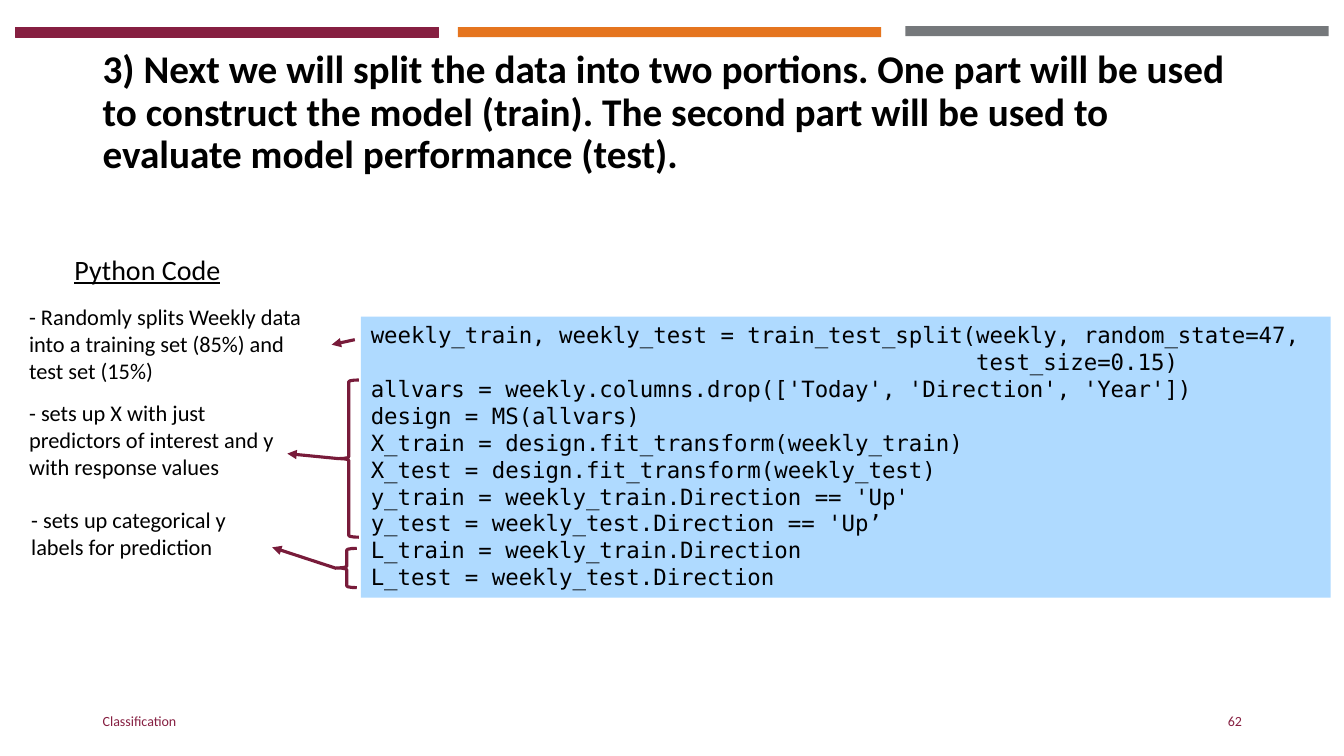
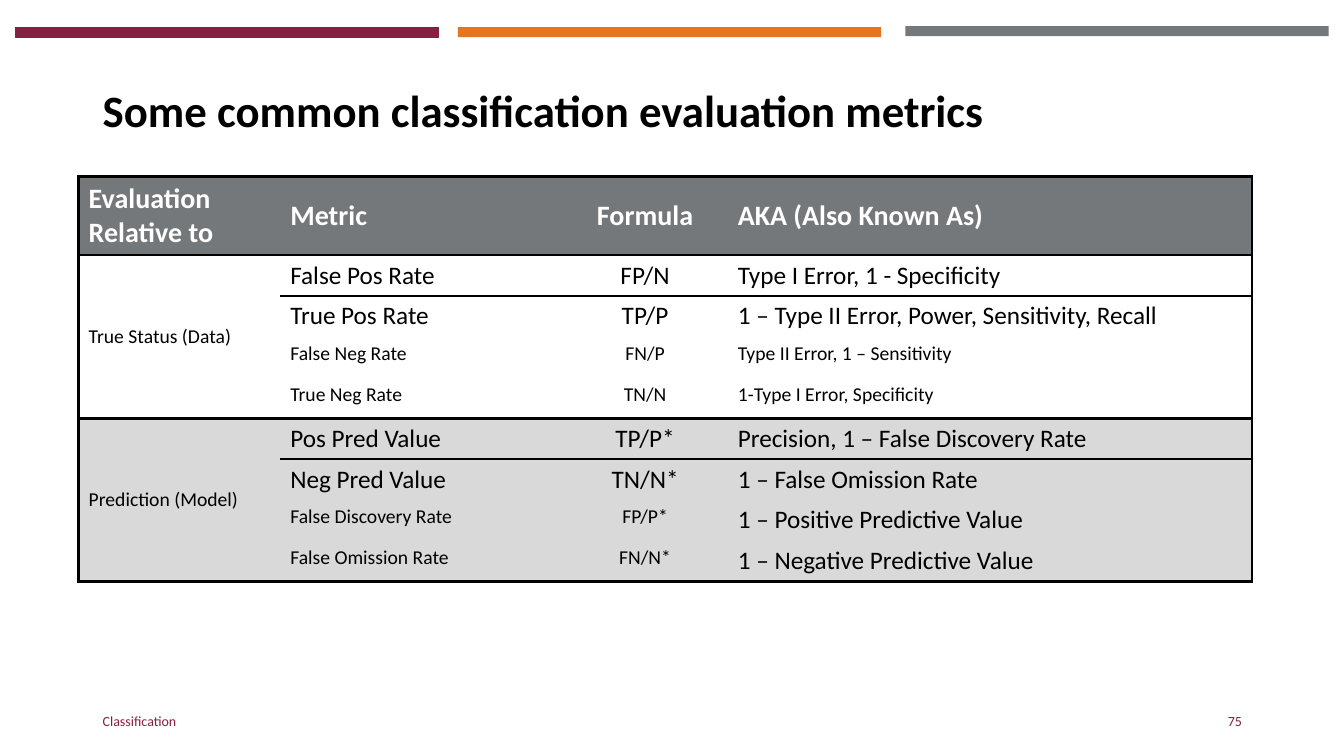
from lxml.etree import SubElement
from pptx import Presentation
from pptx.dml.color import RGBColor
from pptx.enum.shapes import MSO_CONNECTOR, MSO_SHAPE
from pptx.enum.text import MSO_ANCHOR, PP_ALIGN
from pptx.oxml.ns import qn
from pptx.util import Inches, Pt

COLORS = {
    "maroon": "861F41",
    "orange": "E5751F",
    "gray": "75787B",
    "marker": "781B3A",
    "code": "AFDAFF",
    "band": "D9D9D9",
    "black": "000000",
    "white": "FFFFFF",
}
RGB = {name: RGBColor.from_string(value) for name, value in COLORS.items()}
BODY, MONO = "Calibri", "DejaVu Sans Mono"

deck = Presentation()
deck.slide_width, deck.slide_height = Inches(13.33), Inches(7.5)
X, Y = deck.slide_width / 100, deck.slide_height / 100


def area(left, top, width, height):
    return round(left * X), round(top * Y), round(width * X), round(height * Y)


def write(frame, lines, size, color="black", font=BODY, bold=False, underline=False,
          align=PP_ALIGN.LEFT, anchor=MSO_ANCHOR.TOP, spacing=None):
    frame.word_wrap = True
    frame.vertical_anchor = anchor
    for number, line in enumerate(lines):
        paragraph = frame.add_paragraph() if number else frame.paragraphs[0]
        paragraph.alignment = align
        if spacing:
            paragraph.line_spacing = spacing
        run = paragraph.add_run()
        run.text = line
        run.font.size, run.font.name = Pt(size), font
        run.font.bold, run.font.underline = bold, underline
        run.font.color.rgb = RGB[color]


BARS = [(1.13, 3.6, "maroon"), (34.06, 3.6, "orange"), (67.36, 3.47, "gray")]
PAGES = [
    ("3) Next we will split the data into two portions. One part will be used to construct "
     "the model (train). The second part will be used to evaluate model performance (test).",
     28, "62"),
    ("Some common classification evaluation metrics", 32, "75"),
]
slides = []
for title, title_size, page_number in PAGES:
    slide = deck.slides.add_slide(deck.slide_layouts[6])
    slides.append(slide)
    for left, top, color in BARS:
        bar = slide.shapes.add_shape(MSO_SHAPE.RECTANGLE, *area(left, top, 31.5, 1.33))
        bar.shadow.inherit = False
        bar.fill.solid()
        bar.fill.fore_color.rgb = RGB[color]
        if color == "maroon":
            bar.line.color.rgb = RGB[color]
            bar.line.width = Pt(0.75)
        else:
            bar.line.fill.background()
    heading = slide.shapes.add_textbox(*area(6.9, 5.33, 86.25, 19.33))
    write(heading.text_frame, [title], title_size, bold=True,
          anchor=MSO_ANCHOR.MIDDLE, spacing=0.9)
    for text, left, width, align in [("Classification", 6.9, 33.75, PP_ALIGN.LEFT),
                                     (page_number, 70.65, 22.5, PP_ALIGN.RIGHT)]:
        footer = slide.shapes.add_textbox(*area(left, 92.67, width, 5.33))
        write(footer.text_frame, [text], 10, "maroon", align=align, anchor=MSO_ANCHOR.MIDDLE)

split_slide, metrics_slide = slides

code_label = split_slide.shapes.add_textbox(*area(4.8, 30.4, 16.65, 8.13))
write(code_label.text_frame, ["Python Code"], 20, underline=True,
      anchor=MSO_ANCHOR.MIDDLE, spacing=1.5)

CODE = """weekly_train, weekly_test = train_test_split(weekly, random_state=47,
                                             test_size=0.15)
allvars = weekly.columns.drop(['Today', 'Direction', 'Year'])
design = MS(allvars)
X_train = design.fit_transform(weekly_train)
X_test = design.fit_transform(weekly_test)
y_train = weekly_train.Direction == 'Up'
y_test = weekly_test.Direction == 'Up’
L_train = weekly_train.Direction
L_test = weekly_test.Direction"""
code_panel = split_slide.shapes.add_shape(MSO_SHAPE.RECTANGLE, *area(26.85, 41.87, 72.15, 37.2))
code_panel.shadow.inherit = False
code_panel.fill.solid()
code_panel.fill.fore_color.rgb = RGB["code"]
code_panel.line.fill.background()
write(code_panel.text_frame, CODE.split("\n"), 16, font=MONO)

NOTES = [
    ("- Randomly splits Weekly data into a training set (85%) and test set (15%)",
     (1.43, 39.47, 23.25, 12.13)),
    ("- sets up X with just predictors of interest and y with response values",
     (1.43, 52.13, 19.95, 15.73)),
    ("- sets up categorical y labels for prediction", (1.58, 66.27, 18.68, 12.13)),
]
for note, place in NOTES:
    note_box = split_slide.shapes.add_textbox(*area(*place))
    write(note_box.text_frame, [note], 16)

for place in [(25.2, 50.27, 1.5, 20.8), (25.05, 72.53, 1.5, 5.2)]:
    brace = split_slide.shapes.add_shape(MSO_SHAPE.LEFT_BRACE, *area(*place))
    brace.shadow.inherit = False
    brace.fill.background()
    brace.line.color.rgb = RGB["marker"]
    brace.line.width = Pt(2.25)

for ends in [(26.4, 44.93, 24.68, 45.6), (25.2, 60.67, 21.38, 60), (25.05, 75.2, 20.25, 72.4)]:
    arrow = split_slide.shapes.add_connector(MSO_CONNECTOR.STRAIGHT, *area(*ends))
    arrow.line.color.rgb = RGB["marker"]
    arrow.line.width = Pt(2.25)
    SubElement(arrow.line._get_or_add_ln(), qn("a:tailEnd"), type="triangle")
    SubElement(arrow._element.spPr, qn("a:effectLst"))

HEADER = ["Evaluation Relative to", "Metric", "Formula", "AKA (Also Known As)"]
METRICS = [
    ("True Status (Data)", "False Pos Rate", "FP/N", "Type I Error, 1 - Specificity"),
    ("", "True Pos Rate", "TP/P", "1 – Type II Error, Power, Sensitivity, Recall"),
    ("", "False Neg Rate", "FN/P", "Type II Error, 1 – Sensitivity"),
    ("", "True Neg Rate", "TN/N", "1-Type I Error, Specificity"),
    ("Prediction (Model)", "Pos Pred Value", "TP/P*", "Precision, 1 – False Discovery Rate"),
    ("", "Neg Pred Value", "TN/N*", "1 – False Omission Rate"),
    ("", "False Discovery Rate", "FP/P*", "1 – Positive Predictive Value"),
    ("", "False Omission Rate", "FN/N*", "1 – Negative Predictive Value"),
]
COLUMN_SHARES = [15, 21, 12.3, 39]
ROW_SHARES = [10.4] + [5.4] * len(METRICS)
GROUP = 4
GROUP_RULES = {0: 2.25, 1: 2.25, 5: 2.25, 9: 2.25}
METRIC_RULES = {**GROUP_RULES, 2: 1.5, 6: 2.25}

metrics = metrics_slide.shapes.add_table(
    len(ROW_SHARES), len(COLUMN_SHARES),
    *area(5.85, 23.33, sum(COLUMN_SHARES), sum(ROW_SHARES))).table
metrics.first_row = metrics.horz_banding = False
for column, share in zip(metrics.columns, COLUMN_SHARES):
    column.width = round(share * X)
for row, share in zip(metrics.rows, ROW_SHARES):
    row.height = round(share * Y)

for r, texts in enumerate([HEADER] + METRICS):
    for c, text in enumerate(texts):
        cell = metrics.cell(r, c)
        opens_group = c == 0 and r % GROUP == 1
        rules = METRIC_RULES if c else GROUP_RULES
        bottom = r + GROUP if opens_group else r + 1
        borders = {
            "a:lnL": 0 if c else 2.25,
            "a:lnR": 2.25 if c == len(COLUMN_SHARES) - 1 else 0,
            "a:lnT": rules.get(r, 0),
            "a:lnB": rules.get(bottom, 0),
        }
        properties = cell._tc.get_or_add_tcPr()
        for side, width in borders.items():
            edge = SubElement(properties, qn(side), w=str(Pt(width)))
            if width:
                ink = SubElement(edge, qn("a:solidFill"))
                SubElement(ink, qn("a:srgbClr"), val=COLORS["black"])
            else:
                SubElement(edge, qn("a:noFill"))
        cell.fill.solid()
        cell.fill.fore_color.rgb = RGB["gray" if r == 0 else "white" if r <= GROUP else "band"]
        if opens_group:
            cell.merge(metrics.cell(r + GROUP - 1, c))
        if not text:
            continue
        small = c == 0 or r in (3, 4) or (r in (7, 8) and c < 3)
        write(cell.text_frame, [text], 20 if r == 0 else 14 if small else 18,
              "black" if r else "white", bold=r == 0,
              align=PP_ALIGN.CENTER if c == 2 else PP_ALIGN.LEFT)
        cell.vertical_anchor = MSO_ANCHOR.MIDDLE if r == 0 or c == 0 else MSO_ANCHOR.TOP

deck.save("out.pptx")
